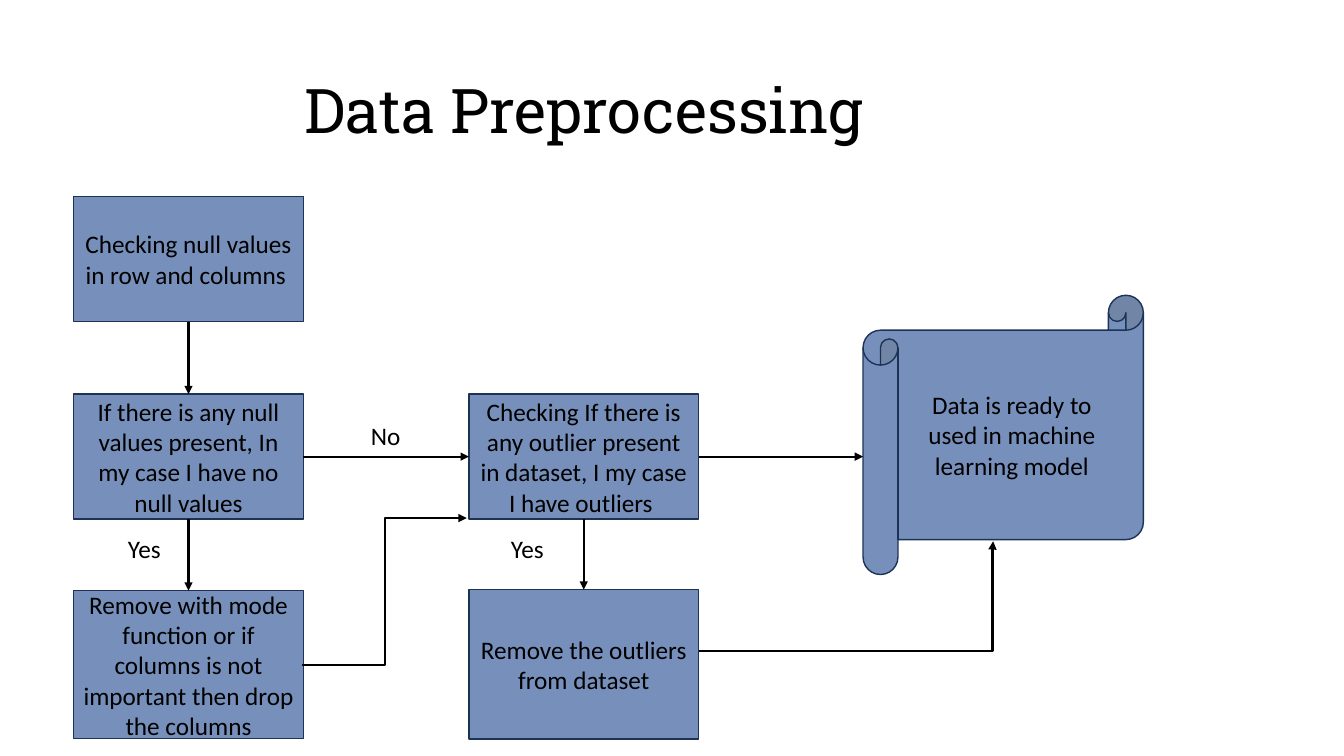
import dataclasses
import typing
import lxml.etree
import pptx
import pptx.dml.color
import pptx.enum.shapes
import pptx.enum.text
import pptx.oxml.ns
import pptx.util

PX = 9144
INK = "000000"
FILL = "2F5597"
EDGE = "1E3256"
RECT = pptx.enum.shapes.MSO_SHAPE.RECTANGLE
SCROLL = pptx.enum.shapes.MSO_SHAPE.HORIZONTAL_SCROLL
LINE = pptx.enum.shapes.MSO_CONNECTOR.STRAIGHT
ELBOW = pptx.enum.shapes.MSO_CONNECTOR.ELBOW
LEFT = pptx.enum.text.PP_ALIGN.LEFT
CENTER = pptx.enum.text.PP_ALIGN.CENTER
MIDDLE = pptx.enum.text.MSO_ANCHOR.MIDDLE
TOP, WEST, BOTTOM, EAST = range(4)


@dataclasses.dataclass
class Step:
    name: str
    text: str
    left: int
    top: int
    wide: int = 228
    high: int = 124
    form: int = RECT


@dataclasses.dataclass
class Label:
    text: str
    left: int
    top: int


@dataclasses.dataclass
class Arrow:
    start: tuple[int, int]
    end: tuple[int, int]
    source: tuple[str, int] | None = None
    target: tuple[str, int] | None = None
    kind: int = LINE
    bend: int | None = None


STEPS = [
    Step("nulls", "Checking null values in row and columns ", 73, 195),
    Step("found", "If there is any null values present, In my case I have no null values", 73, 391),
    Step("drop", "Remove with mode function or if columns is not important then drop the columns",
         73, 586, high=147),
    Step("check", "Checking If there is any outlier present in dataset, I my case I have outliers ", 465, 391),
    Step("clean", "Remove the outliers from dataset", 465, 585, high=148),
    Step("ready", "Data is ready to used in machine learning model", 856, 293, 278, 277, SCROLL),
]
LABELS = [Label("Yes", 117, 524), Label("No", 358, 412), Label("Yes", 497, 524)]
ARROWS = [
    Arrow((187, 319), (187, 391), ("nulls", BOTTOM), ("found", TOP)),
    Arrow((187, 515), (187, 586), ("found", BOTTOM), ("drop", TOP)),
    Arrow((301, 453), (465, 453), ("found", EAST), ("check", WEST)),
    Arrow((579, 515), (579, 585), ("check", BOTTOM), ("clean", TOP)),
    Arrow((693, 453), (856, 453), ("check", EAST)),
    Arrow((300, 660), (463, 514), kind=ELBOW),
    Arrow((693, 646), (985, 537), kind=ELBOW, bend=99800),
]


def px(*sizes: int) -> list[int]:
    return [size * PX for size in sizes]


def paint(part: typing.Any, tone: str) -> None:
    part.rgb = pptx.dml.color.RGBColor.from_string(tone)


def node(parent: typing.Any, tag: str, **attrs: str) -> typing.Any:
    return lxml.etree.SubElement(parent, pptx.oxml.ns.qn(tag), attrs)


def write(frame: typing.Any, text: str, align: int, size: int = 18, face: str = "Calibri") -> None:
    frame.text = text
    frame.word_wrap = True
    line = frame.paragraphs[0]
    line.alignment = align
    font = line.runs[0].font
    font.size = pptx.util.Pt(size)
    font.name = face
    paint(font.color, INK)


def draw_title(slide: typing.Any) -> None:
    title = slide.shapes.title
    title.left, title.top, title.width, title.height = px(92, 40, 1150, 145)
    frame = title.text_frame
    write(frame, "Data Preprocessing", LEFT, 44, "Roboto Slab")
    frame.auto_size = pptx.enum.text.MSO_AUTO_SIZE.NONE
    frame.vertical_anchor = MIDDLE
    frame.margin_left = 210 * PX
    frame.paragraphs[0].line_spacing = 0.9


def draw_step(slide: typing.Any, step: Step) -> typing.Any:
    shape = slide.shapes.add_shape(step.form, *px(step.left, step.top, step.wide, step.high))
    shape.shadow.inherit = False
    shape.fill.solid()
    paint(shape.fill.fore_color, FILL)
    tone = shape._element.spPr.find(".//" + pptx.oxml.ns.qn("a:srgbClr"))
    node(tone, "a:alpha", val="65000")
    paint(shape.line.color, EDGE)
    shape.line.width = pptx.util.Pt(1)
    write(shape.text_frame, step.text, CENTER)
    shape.text_frame.vertical_anchor = MIDDLE
    return shape


def draw_label(slide: typing.Any, label: Label) -> None:
    box = slide.shapes.add_textbox(*px(label.left, label.top, 70, 40))
    write(box.text_frame, label.text, LEFT)
    box.text_frame.auto_size = pptx.enum.text.MSO_AUTO_SIZE.SHAPE_TO_FIT_TEXT


def draw_arrow(slide: typing.Any, arrow: Arrow, shapes: dict[str, typing.Any]) -> None:
    link = slide.shapes.add_connector(arrow.kind, *px(*arrow.start, *arrow.end))
    if arrow.source:
        name, side = arrow.source
        link.begin_connect(shapes[name], side)
    if arrow.target:
        name, side = arrow.target
        link.end_connect(shapes[name], side)
    paint(link.line.color, INK)
    link.line.width = pptx.util.Pt(1.5)
    props = link._element.spPr
    node(props.find(pptx.oxml.ns.qn("a:ln")), "a:tailEnd", type="triangle")
    node(props, "a:effectLst")
    if arrow.bend is not None:
        guides = props.find(".//" + pptx.oxml.ns.qn("a:avLst"))
        node(guides, "a:gd", name="adj1", fmla=f"val {arrow.bend}")


def main() -> None:
    deck = pptx.Presentation()
    deck.slide_width, deck.slide_height = px(1333, 750)
    slide = deck.slides.add_slide(deck.slide_layouts[5])
    draw_title(slide)
    shapes = {step.name: draw_step(slide, step) for step in STEPS}
    for label in LABELS:
        draw_label(slide, label)
    for arrow in ARROWS:
        draw_arrow(slide, arrow, shapes)
    deck.save("out.pptx")


if __name__ == "__main__":
    main()
